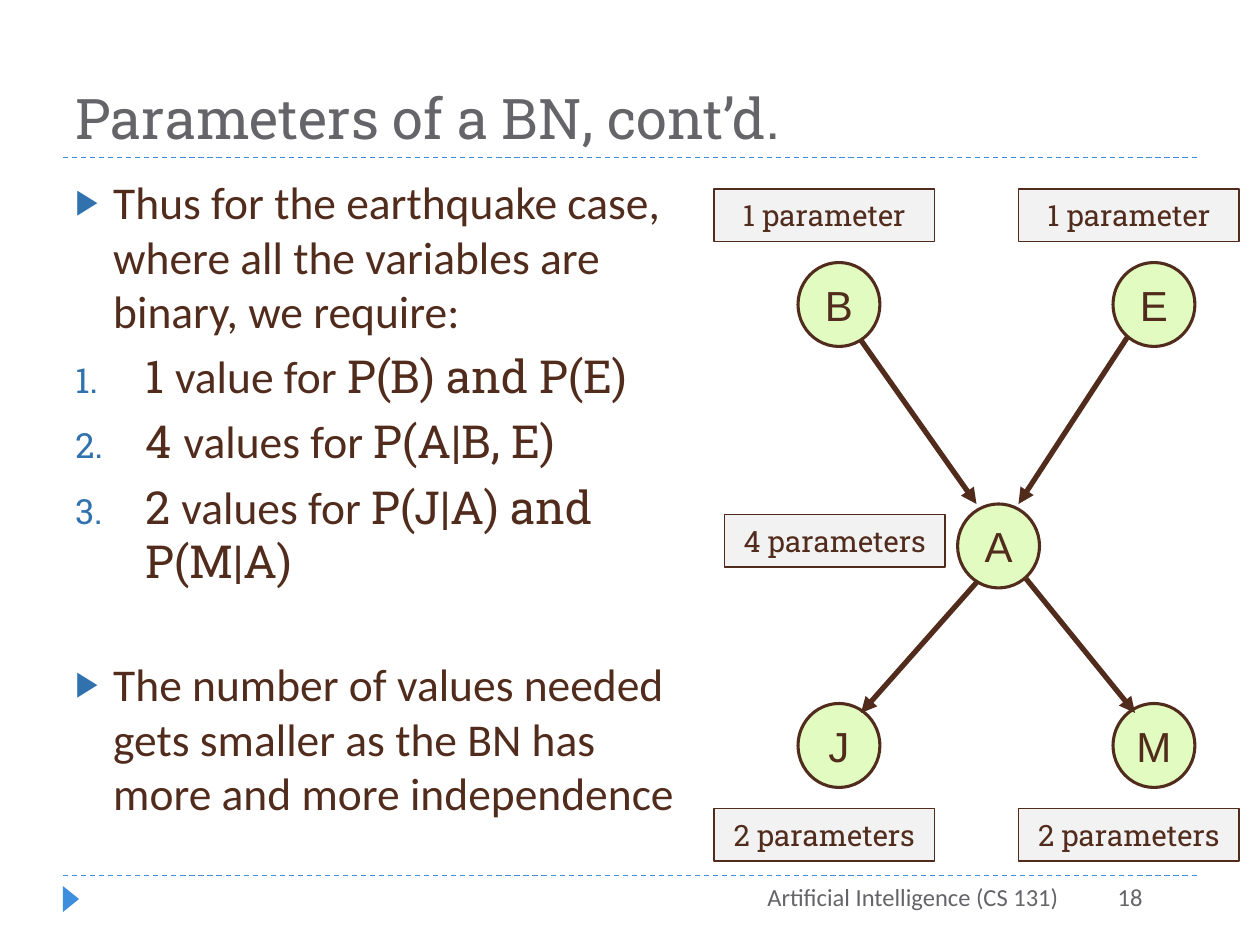
from lxml import etree
from pptx import Presentation, util as u
from pptx.dml.color import RGBColor
from pptx.enum import dml, shapes, text
from pptx.oxml.ns import qn

HUES = {"ink": "512C1D", "gray": "646469", "blue": "3E8EDE",
        "mark": "3071AE", "node": "E1FBC0", "tag": "F2F2F2"}
CELL = u.Inches(1) // 12  # the slide is 120 columns by 90 rows
SLAB, SANS, ROUND = "Roboto Slab", "Calibri", "Arial"


def grid(*cells):
    return [u.Emu(round(c * CELL)) for c in cells]


def hue(name):
    return RGBColor.from_string(HUES[name])


def put(node, tag, **attrs):
    return etree.SubElement(node, qn("a:" + tag), attrs)


def apply(item, values):
    for name, value in values.items():
        setattr(item, name, value)


class Deck:
    def __init__(self):
        self.prs = Presentation()
        self.prs.slide_width, self.prs.slide_height = grid(120, 90)
        self.slide = self.prs.slides.add_slide(self.prs.slide_layouts[5])
        self.shapes = self.slide.shapes

    def add_run(self, par, words, font, size, color="ink"):
        run = par.add_run()
        run.text = words
        apply(run.font, {"name": font, "size": u.Pt(size)})
        run.font.color.rgb = hue(color)

    def title(self, words, box):
        item = self.shapes.title
        apply(item, dict(zip(("left", "top", "width", "height"), grid(*box))))
        apply(item.text_frame, {"vertical_anchor": text.MSO_ANCHOR.BOTTOM,
                                "auto_size": text.MSO_AUTO_SIZE.NONE})
        par = item.text_frame.paragraphs[0]
        par.alignment = text.PP_ALIGN.LEFT
        self.add_run(par, words, SLAB, 32, "gray")

    def frame(self, box):
        frame = self.shapes.add_textbox(*grid(*box)).text_frame
        frame.word_wrap = True
        return frame

    def footer(self, words, box):
        par = self.frame(box).paragraphs[0]
        par.alignment = text.PP_ALIGN.RIGHT
        self.add_run(par, words, SANS, 14, "gray")

    def bullets(self, items, box):
        """Items are (kind, space before, [(words, font), ...])."""
        frame = self.frame(box)
        for i, (kind, gap, runs) in enumerate(items):
            par = frame.add_paragraph() if i else frame.paragraphs[0]
            par.space_before = u.Pt(gap)
            for words, font in runs:
                self.add_run(par, words, font, 26)
            prop = par._p.get_or_add_pPr()
            dent = u.Inches(0.56 if kind == "number" else 0.3)
            prop.set("marL", str(dent))
            prop.set("indent", str(-dent))
            put(put(prop, "buClr"), "srgbClr", val=HUES["mark"])
            put(prop, "buSzPct", val="76000")
            if kind == "number":
                put(prop, "buFont", typeface=SLAB)
                put(prop, "buAutoNum", type="arabicPeriod")
            else:
                put(prop, "buFont", typeface=ROUND)
                put(prop, "buChar", char="▶")

    def line(self, ends, color, width, dash=False, arrow=False):
        item = self.shapes.add_connector(shapes.MSO_CONNECTOR.STRAIGHT, *grid(*ends))
        item.line.color.rgb = hue(color)
        item.line.width = u.Pt(width)
        if dash:
            item.line.dash_style = dml.MSO_LINE.DASH
        if arrow:
            put(item.line._get_or_add_ln(), "tailEnd", type="triangle")
        put(item._element.spPr, "effectLst")

    def shape(self, kind, box, fill, width=0):
        item = self.shapes.add_shape(kind, *grid(*box))
        item.shadow.inherit = False
        item.fill.solid()
        item.fill.fore_color.rgb = hue(fill)
        if width:
            item.line.color.rgb = hue("ink")
            item.line.width = u.Pt(width)
        else:
            item.line.fill.background()
        return item

    def label(self, item, words, font, size, wrap):
        apply(item.text_frame, {"word_wrap": wrap,
                                "vertical_anchor": text.MSO_ANCHOR.MIDDLE})
        par = item.text_frame.paragraphs[0]
        par.alignment = text.PP_ALIGN.CENTER
        self.add_run(par, words, font, size)

    def node(self, name, x, y):
        item = self.shape(shapes.MSO_SHAPE.OVAL, (x, y, 7.8, 8), "node", 1.75)
        self.label(item, name, ROUND, 24, False)

    def tag(self, words, x, y):
        item = self.shape(shapes.MSO_SHAPE.RECTANGLE, (x, y, 21, 5), "tag", 0.75)
        self.label(item, words, SLAB, 16.8, True)


def main():
    deck = Deck()
    for y in (15, 83.4):
        deck.line((6, y, 114, y), "blue", 0.75, dash=True)
    mark = deck.shape(shapes.MSO_SHAPE.ISOSCELES_TRIANGLE, (5.5, 84.85, 2.5, 1.55), "blue")
    mark.rotation = 90
    deck.title("Parameters of a BN, cont’d.", (6, 3, 108, 12))
    deck.bullets([
        ("arrow", 6, [("Thus for the earthquake case, where all the variables "
                       "are binary, we require:", SANS)]),
        ("number", 6, [("1", SLAB), (" value for ", SANS), ("P(B) and P(E)", SLAB)]),
        ("number", 6, [("4 ", SLAB), ("values for ", SANS), ("P(A|B, E)", SLAB)]),
        ("number", 6, [("2", SLAB), (" values for ", SANS), ("P(J|A) and P(M|A)", SLAB)]),
        ("arrow", 39, [("The number of values needed gets smaller as the BN has "
                        "more and more independence", SANS)]),
    ], (6, 16, 62, 64.8))
    deck.footer("Artificial Intelligence (CS 131)", (46, 83.4, 56, 4.8))
    deck.footer("18", (97, 83.4, 13, 4.8))

    left, right, top, low = 76, 106, 25, 67
    for ends in ((81, 31, 93, 48), (108.1, 31, 97, 48)):
        deck.line(ends, "ink", 3, arrow=True)
    for name, x, y in (("M", right, low), ("E", right, top), ("J", left, low)):
        deck.node(name, x, y)
    for ends in ((96, 53, 108.1, 67.9), (95.2, 53, 82, 67.9)):
        deck.line(ends, "ink", 3, arrow=True)
    deck.node("A", 91.2, 48)
    deck.node("B", left, top)

    for words, y in (("1 parameter", 18), ("2 parameters", 77)):
        for x in (68, 97):
            deck.tag(words, x, y)
    deck.tag("4 parameters", 69, 49)
    deck.prs.save("out.pptx")


if __name__ == "__main__":
    main()
